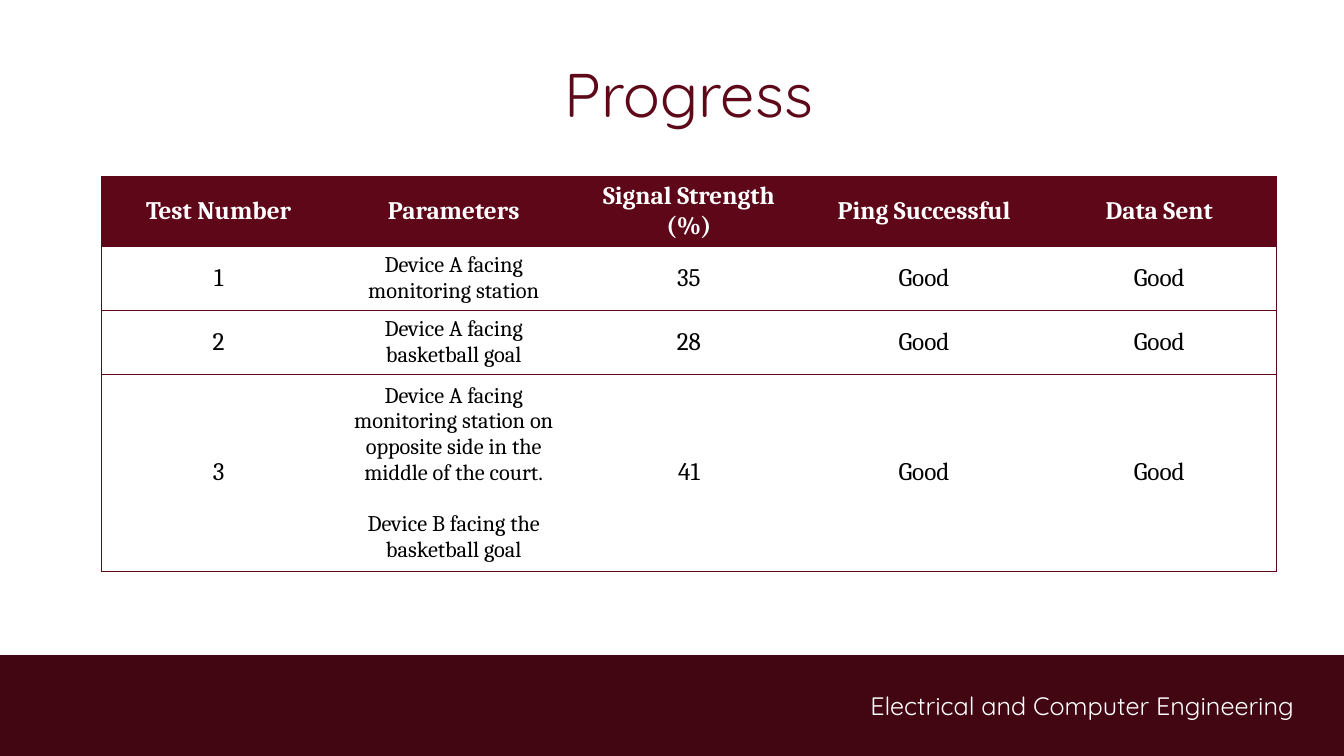
from pptx import Presentation
from pptx.dml.color import RGBColor
from pptx.enum.shapes import MSO_SHAPE
from pptx.enum.text import MSO_ANCHOR, PP_ALIGN as Align
from pptx.oxml import parse_xml
from pptx.oxml.ns import nsdecls
from pptx.util import Emu, Pt

EMU_PER_PX = 914400 / 100.8
SLIDE_WIDTH, SLIDE_HEIGHT = 1344, 756

MAROON = RGBColor(0x5E, 0x07, 0x18)
TITLE_MAROON = RGBColor(0x5E, 0x09, 0x1A)
DARK_MAROON = RGBColor(0x41, 0x06, 0x11)
WHITE = RGBColor(0xFF, 0xFF, 0xFF)
BLACK = RGBColor(0x00, 0x00, 0x00)

HEADINGS = ["Test Number", "Parameters", "Signal Strength\n(%)",
            "Ping Successful", "Data Sent"]
TESTS = [
    ["1", "Device A facing monitoring station", "35", "Good", "Good"],
    ["2", "Device A facing basketball goal", "28", "Good", "Good"],
    ["3", "Device A facing monitoring station on opposite side in the "
          "middle of the court.\nDevice B facing the basketball goal",
     "41", "Good", "Good"],
]
ROW_HEIGHTS = [68, 62, 61, 190]
PARAMETERS_COLUMN = 1


def px(length):
    return Emu(round(length * EMU_PER_PX))


def write_text(frame, text, *, font, size, color, bold=False,
               align=Align.CENTER, gap=0):
    """Write one paragraph per line, with gap points between paragraphs."""
    frame.word_wrap = True
    for index, line in enumerate(text.split("\n")):
        para = frame.paragraphs[0] if index == 0 else frame.add_paragraph()
        para.alignment = align
        if index and gap:
            para.space_before = Pt(gap)
        span = para.add_run()
        span.text = line
        span.font.name = font
        span.font.size = Pt(size)
        span.font.bold = bold
        span.font.color.rgb = color


def add_text(page, text, left, top, width, height, *,
             anchor=MSO_ANCHOR.TOP, **text_format):
    box = page.shapes.add_textbox(px(left), px(top), px(width), px(height))
    box.text_frame.vertical_anchor = anchor
    write_text(box.text_frame, text, font="Quicksand", **text_format)


def add_band(page, left, top, width, height, color):
    band = page.shapes.add_shape(MSO_SHAPE.RECTANGLE, px(left), px(top),
                                 px(width), px(height))
    band.shadow.inherit = False
    band.fill.solid()
    band.fill.fore_color.rgb = color
    band.line.fill.background()


def set_borders(cell, visible_sides):
    """Rule the named sides (of L, R, T, B) and clear the others."""
    properties = cell._tc.get_or_add_tcPr()
    for side in "LRTB":
        fill = (f'<a:solidFill><a:srgbClr val="{MAROON}"/></a:solidFill>'
                if side in visible_sides else "<a:noFill/>")
        properties.append(parse_xml(
            f'<a:ln{side} {nsdecls("a")} w="{Pt(0.75)}">{fill}</a:ln{side}>'))


def add_results_table(page, left, top, width):
    rows = [HEADINGS] + TESTS
    last_column = len(HEADINGS) - 1
    table = page.shapes.add_table(len(rows), len(HEADINGS), px(left), px(top),
                                  px(width), px(sum(ROW_HEIGHTS))).table
    for row, (texts, height) in enumerate(zip(rows, ROW_HEIGHTS)):
        table.rows[row].height = px(height)
        is_header = row == 0
        for column, text in enumerate(texts):
            cell = table.cell(row, column)
            cell.vertical_anchor = MSO_ANCHOR.MIDDLE
            sides = "TB" + "L" * (column == 0) + "R" * (column == last_column)
            set_borders(cell, sides)
            cell.fill.solid()
            cell.fill.fore_color.rgb = MAROON if is_header else WHITE
            is_detail = column == PARAMETERS_COLUMN and not is_header
            write_text(cell.text_frame, text, font="Cambria",
                       size=16 if is_detail else 18, bold=is_header,
                       color=WHITE if is_header else BLACK,
                       gap=18.3 if is_detail else 0)


def main():
    deck = Presentation()
    deck.slide_width = px(SLIDE_WIDTH)
    deck.slide_height = px(SLIDE_HEIGHT)
    page = deck.slides.add_slide(deck.slide_layouts[6])
    add_band(page, 0, 655, SLIDE_WIDTH, 101, DARK_MAROON)
    add_text(page, "Electrical and Computer Engineering", 795, 685, 509, 40,
             size=18, color=WHITE, align=Align.RIGHT)
    add_text(page, "Progress", 101, 30, 1176, 126, size=44,
             color=TITLE_MAROON, anchor=MSO_ANCHOR.MIDDLE)
    add_results_table(page, 101, 176, 1176)
    deck.save("out.pptx")


if __name__ == "__main__":
    main()
